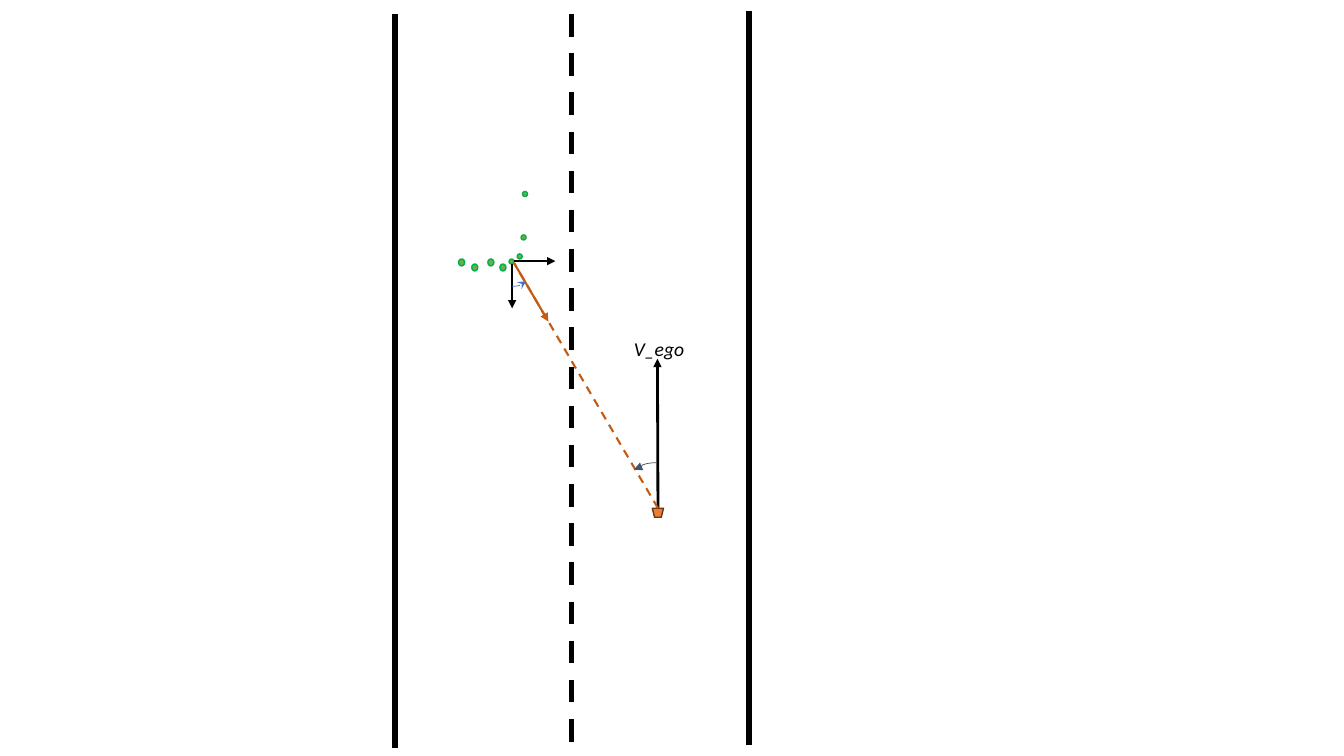
from dataclasses import dataclass

from lxml import etree
from pptx import Presentation
from pptx.dml.color import RGBColor
from pptx.enum.dml import MSO_LINE
from pptx.enum.shapes import MSO_CONNECTOR, MSO_SHAPE
from pptx.enum.text import MSO_AUTO_SIZE
from pptx.oxml.ns import qn
from pptx.util import Pt

STRAIGHT, CURVE = MSO_CONNECTOR.STRAIGHT, MSO_CONNECTOR.CURVE
DASH = MSO_LINE.DASH
ELLIPSE = MSO_SHAPE.OVAL
TRAPEZOID = MSO_SHAPE.FLOWCHART_MANUAL_OPERATION
GROW = MSO_AUTO_SIZE.SHAPE_TO_FIT_TEXT
TOP = 0


@dataclass(frozen=True)
class Theme:
    font: str = "Calibri"
    label_size: float = 14
    black: str = "000000"
    vehicle: str = "ED7D31"
    vehicle_edge: str = "683715"
    ray: str = "C55A11"
    point: str = "70AD47"
    point_edge: str = "00B050"
    ego_angle: str = "44546A"
    target_angle: str = "4472C4"


class RoadScene:
    def __init__(self, slide, theme):
        self.shapes = slide.shapes
        self.theme = theme

    def shape(self, kind, left, top, width, height, fill, edge):
        shape = self.shapes.add_shape(kind, Pt(left), Pt(top), Pt(width), Pt(height))
        shape.shadow.inherit = False
        shape.fill.solid()
        shape.fill.fore_color.rgb = RGBColor.from_string(fill)
        shape.line.color.rgb = RGBColor.from_string(edge)
        shape.line.width = Pt(1)
        return shape

    def detection(self, left, top, width, height):
        self.shape(ELLIPSE, left, top, width, height,
                   self.theme.point, self.theme.point_edge)

    def line(self, start, end, color, width, dash=None, arrow=None, bend=None):
        """Draw a connector; bend is the curve's midpoint as a share of its width."""
        kind = STRAIGHT if bend is None else CURVE
        line = self.shapes.add_connector(kind, *map(Pt, start + end))
        line.line.color.rgb = RGBColor.from_string(color)
        line.line.width = Pt(width)
        if dash:
            line.line.dash_style = dash
        properties = line._element.spPr
        if arrow:
            etree.SubElement(properties.find(qn("a:ln")), qn("a:tailEnd"), type=arrow)
        if bend is not None:
            guides = properties.find(qn("a:prstGeom")).find(qn("a:avLst"))
            etree.SubElement(guides, qn("a:gd"), name="adj1",
                             fmla=f"val {round(bend * 100000)}")
        etree.SubElement(properties, qn("a:effectLst"))
        return line

    def label(self, text, left, top, width, height):
        box = self.shapes.add_textbox(Pt(left), Pt(top), Pt(width), Pt(height))
        frame = box.text_frame
        frame.word_wrap = True
        frame.auto_size = GROW
        run = frame.paragraphs[0].add_run()
        run.text = text
        style = {"name": self.theme.font, "size": Pt(self.theme.label_size),
                 "italic": True}
        for attribute, value in style.items():
            setattr(run.font, attribute, value)
        run.font.color.rgb = RGBColor.from_string(self.theme.black)


def main():
    presentation = Presentation()
    presentation.slide_width, presentation.slide_height = Pt(960), Pt(540)
    theme = Theme()
    scene = RoadScene(presentation.slides.add_slide(presentation.slide_layouts[6]), theme)

    vehicle = scene.shape(TRAPEZOID, 466, 363, 8, 6.5,
                          theme.vehicle, theme.vehicle_edge)
    vehicle_front = (470, 363)

    lane_length = 524.2
    for x, top, dash in ((282.2, 10.1, None), (535, 7.9, None), (408.2, 10.1, DASH)):
        scene.line((x, top), (x, top + lane_length), theme.black, 4, dash)

    velocity = scene.line(vehicle_front, (469.6, 256.3), theme.black, 2,
                          arrow="triangle")

    for left, top in ((369.4, 181.4), (363.6, 185), (372.2, 167.8), (373.2, 136.8)):
        scene.detection(left, top, 3.6, 3.6)
    for left, top in ((327.6, 185), (337, 188.6), (348.5, 185), (357.1, 188.6)):
        scene.detection(left, top, 4.3, 5)

    target = (367.2, 187.9)
    sight = scene.line(vehicle_front, target, theme.ray, 1.5, DASH)
    for ray in (velocity, sight):
        ray.begin_connect(vehicle, TOP)

    scene.line((365.8, 188.6), (365.8, 220.3), theme.black, 1, arrow="triangle")
    scene.line((367.2, 186.5), (396.7, 186.5), theme.black, 1, arrow="triangle")
    scene.line(target, (391.7, 229.7), theme.ray, 1.5, arrow="triangle")

    scene.label("V_ego", 445.7, 236.9, 52.6, 24.5)

    scene.line((469.4, 330.5), (452.9, 335.5), theme.ego_angle, 0.5,
               arrow="triangle", bend=0.68)
    scene.line((365.8, 204.5), (375.8, 200.9), theme.target_angle, 0.5,
               arrow="stealth", bend=0.75)

    presentation.save("out.pptx")


if __name__ == "__main__":
    main()
